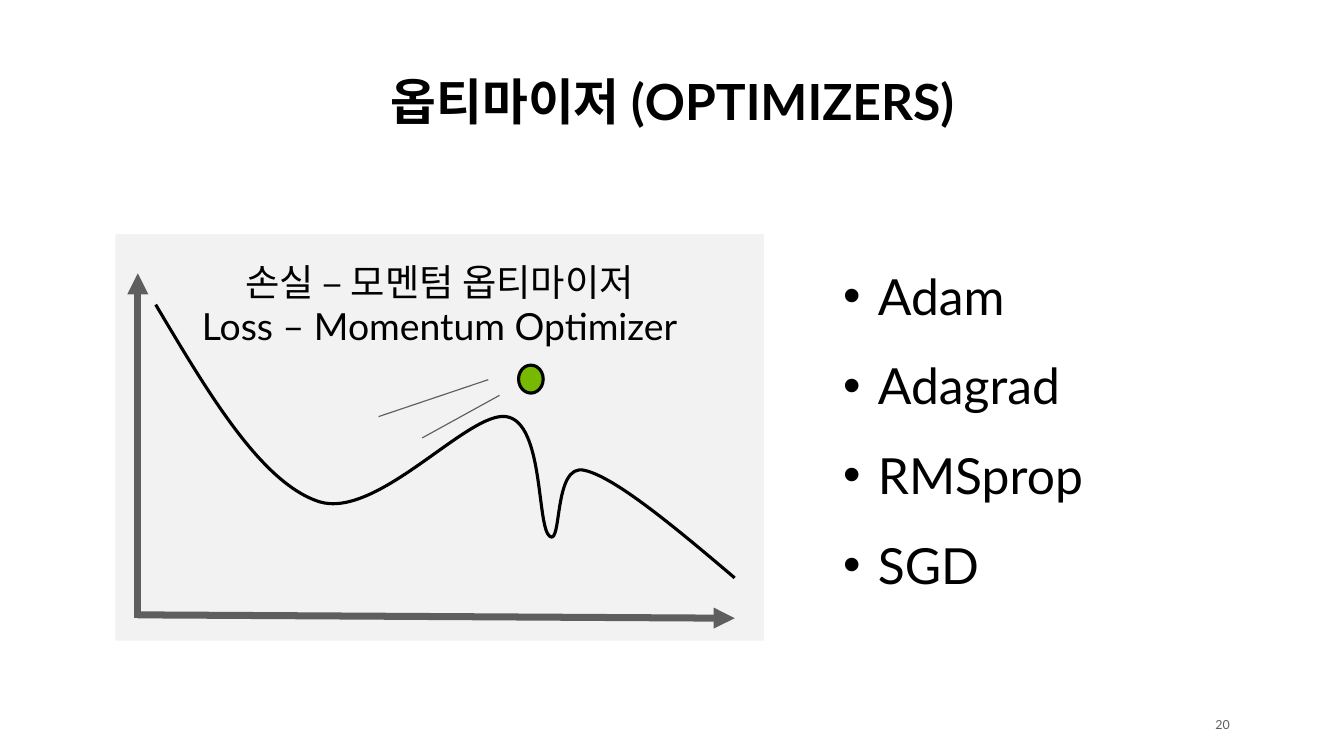
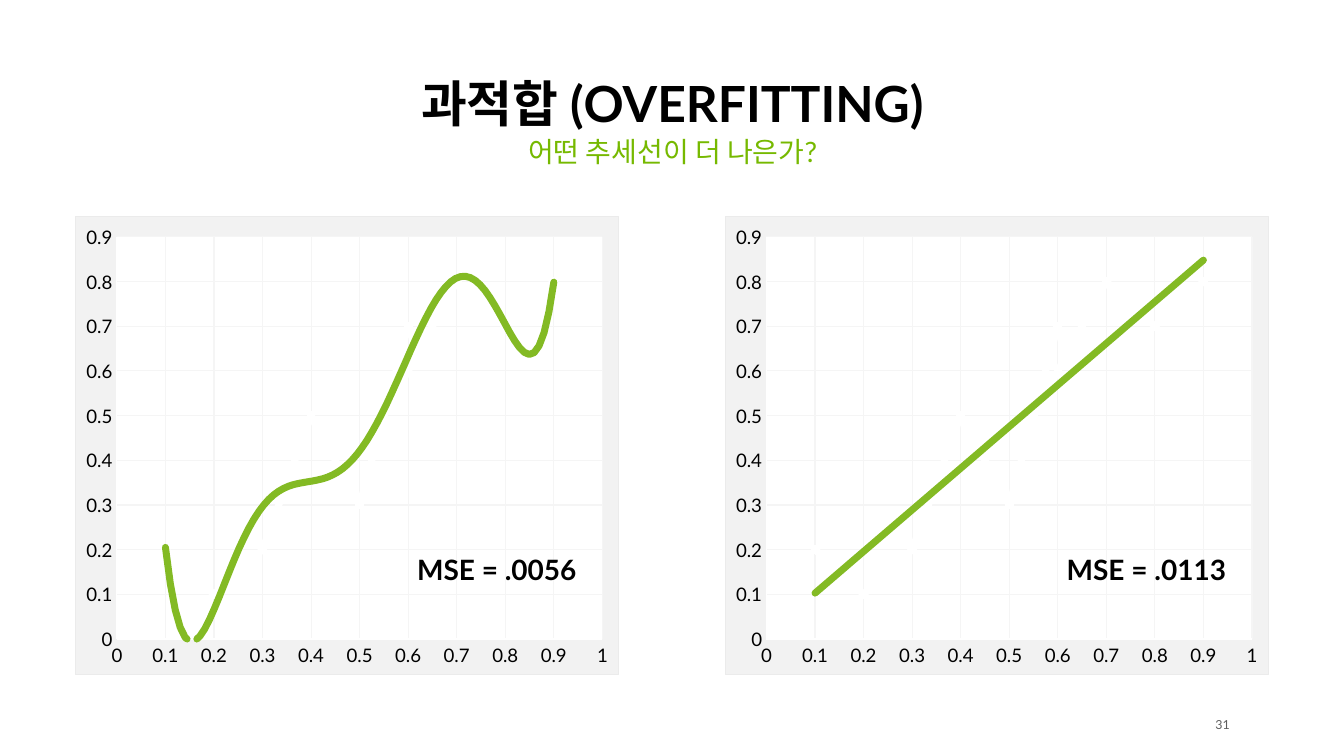
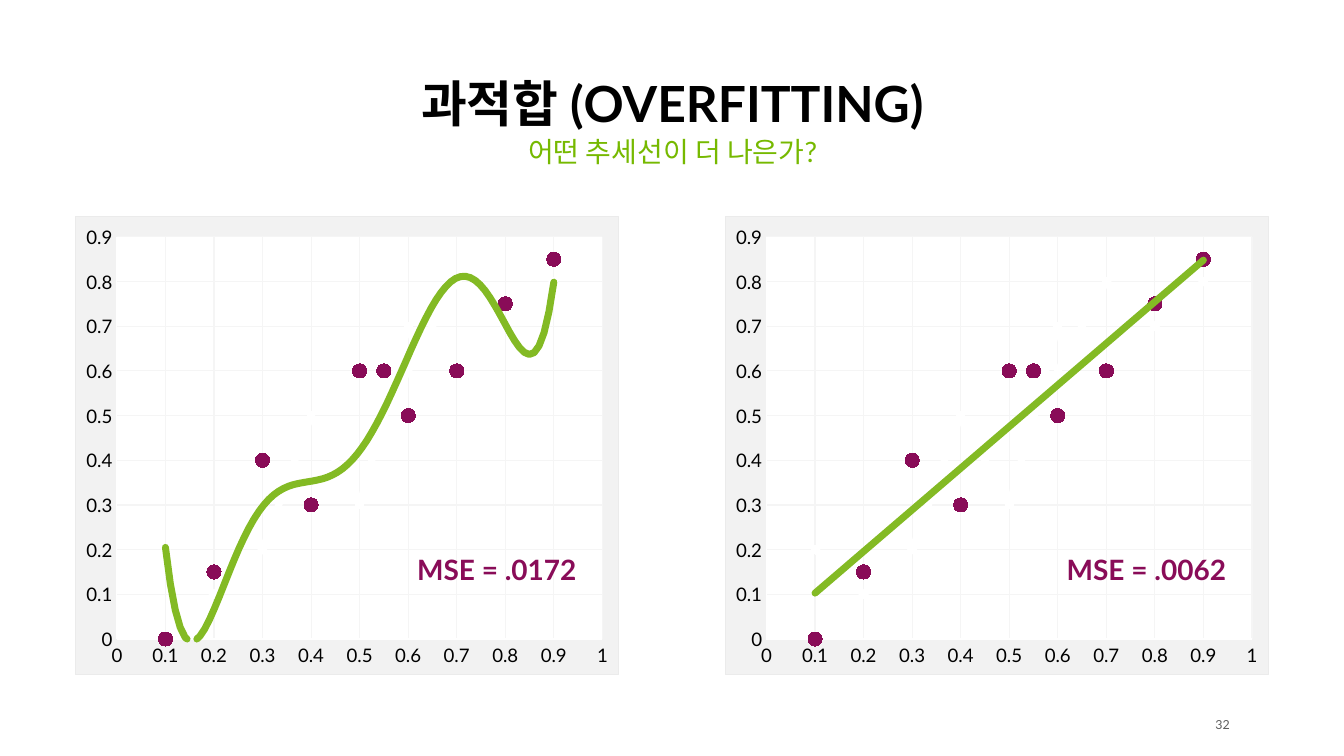
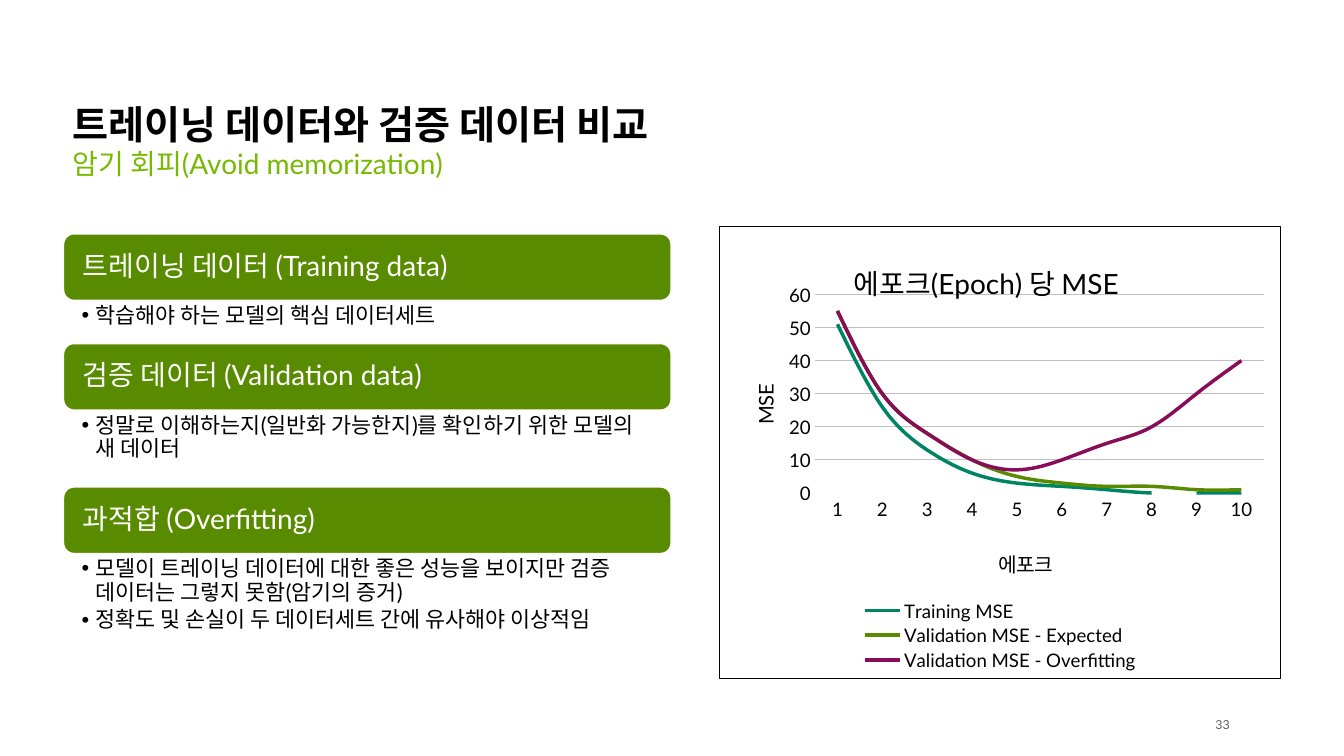
from dataclasses import dataclass

from lxml import etree
from pptx import Presentation
from pptx.chart.data import CategoryChartData, XyChartData
from pptx.dml.color import RGBColor
from pptx.enum.chart import XL_CHART_TYPE, XL_LEGEND_POSITION, XL_MARKER_STYLE, XL_TICK_MARK
from pptx.enum.shapes import MSO_CONNECTOR, MSO_SHAPE
from pptx.enum.text import MSO_ANCHOR, MSO_AUTO_SIZE, PP_ALIGN
from pptx.oxml import parse_xml
from pptx.oxml.ns import qn
from pptx.util import Inches, Pt

LEFT, CENTER, RIGHT = PP_ALIGN.LEFT, PP_ALIGN.CENTER, PP_ALIGN.RIGHT
TOP, MIDDLE, BOTTOM = MSO_ANCHOR.TOP, MSO_ANCHOR.MIDDLE, MSO_ANCHOR.BOTTOM
RECT, ROUND_RECT, OVAL = MSO_SHAPE.RECTANGLE, MSO_SHAPE.ROUNDED_RECTANGLE, MSO_SHAPE.OVAL
STRAIGHT = MSO_CONNECTOR.STRAIGHT
FIT_SHAPE = MSO_AUTO_SIZE.SHAPE_TO_FIT_TEXT
SCATTER, LINE = XL_CHART_TYPE.XY_SCATTER_LINES, XL_CHART_TYPE.LINE
CIRCLE, NO_MARKER = XL_MARKER_STYLE.CIRCLE, XL_MARKER_STYLE.NONE
NO_TICK, LEGEND_BOTTOM = XL_TICK_MARK.NONE, XL_LEGEND_POSITION.BOTTOM

BLACK = RGBColor(0x00, 0x00, 0x00)
WHITE = RGBColor(0xFF, 0xFF, 0xFF)
GRAY = RGBColor(0x5E, 0x5E, 0x5E)
PANEL = RGBColor(0xF2, 0xF2, 0xF2)
PANEL_EDGE = RGBColor(0xEB, 0xEB, 0xEB)
PALE_GRID = RGBColor(0xF5, 0xF5, 0xF5)
GRID = RGBColor(0xBF, 0xBF, 0xBF)
GREEN = RGBColor(0x76, 0xB9, 0x00)
DARK_GREEN = RGBColor(0x59, 0x8B, 0x00)
TREND_GREEN = RGBColor(0x83, 0xBA, 0x24)
TEAL = RGBColor(0x00, 0x85, 0x64)
PLUM = RGBColor(0x89, 0x0C, 0x58)

FONT = "Lato"
COLS, ROWS = 12, 6.75  # square grid cells, one inch each
C_NS = "http://schemas.openxmlformats.org/drawingml/2006/chart"
A_NS = "http://schemas.openxmlformats.org/drawingml/2006/main"

X_VALUES = (0.1, 0.2, 0.3, 0.4, 0.5, 0.6, 0.55, 0.7, 0.8, 0.9)
TRAINING = (0.2, 0.1, 0.2, 0.5, 0.3, 0.7, 0.5, 0.8, 0.7, 0.8)
VALIDATION = (0, 0.15, 0.4, 0.3, 0.6, 0.5, 0.6, 0.6, 0.75, 0.85)
POLY_TREND = '<c:trendlineType val="poly"/><c:order val="6"/>'
LINEAR_TREND = '<c:trendlineType val="linear"/>'
EPOCH_SERIES = (
    ("Training MSE", TEAL, (51, 26, 13, 6, 3, 2, 1, 0, 0, 0)),
    ("Validation MSE - Expected", DARK_GREEN, (55, 30, 18, 10, 5, 3, 2, 2, 1, 1)),
    ("Validation MSE - Overfitting", PLUM, (55, 30, 18, 10, 7, 10, 15, 20, 30, 40)),
)
DEFINITIONS = (  # heading, bullets, rows taken by the bullets
    ("트레이닝 데이터 (Training data)", ["학습해야 하는 모델의 핵심 데이터세트"], 0.37),
    ("검증 데이터 (Validation data)",
     ["정말로 이해하는지(일반화 가능한지)를 확인하기 위한 모델의 새 데이터"], 0.67),
    ("과적합 (Overfitting)",
     ["모델이 트레이닝 데이터에 대한 좋은 성능을 보이지만 검증 데이터는 그렇지 못함(암기의 증거)",
      "정확도 및 손실이 두 데이터세트 간에 유사해야 이상적임"], 1.04),
)


@dataclass
class Box:
    """A region in grid columns and rows."""
    x: float
    y: float
    w: float
    h: float

    def inner(self, dx, dy, w, h):
        return Box(self.x + dx, self.y + dy, w, h)

    def emu(self):
        return [Inches(v) for v in (self.x, self.y, self.w, self.h)]


# ---- text and shapes ----
def write(sp, lines, size, color=BLACK, bold=False, align=LEFT, anchor=TOP,
          spacing=None, gap=0, bullet=0, insets=(0.1, 0.05, 0.1, 0.05)):
    tf = sp.text_frame
    tf.word_wrap = True
    tf.vertical_anchor = anchor
    tf.margin_left, tf.margin_top, tf.margin_right, tf.margin_bottom = map(Inches, insets)
    tf.text = "\n".join(lines)
    for i, p in enumerate(tf.paragraphs):
        if bullet:
            pPr = p._p.get_or_add_pPr()
            pPr.set("marL", str(Inches(bullet)))
            pPr.set("indent", str(-Inches(bullet)))
            etree.SubElement(pPr, qn("a:buFont"), typeface="Arial")
            etree.SubElement(pPr, qn("a:buChar"), char="•")
        p.alignment = align
        if spacing:
            p.line_spacing = spacing
        if i and gap:
            p.space_before = Pt(gap)
        for r in p.runs:
            r.font.name, r.font.size, r.font.bold = FONT, Pt(size), bold
            r.font.color.rgb = color


def add_text(s, box, lines, size, **style):
    sp = s.shapes.add_textbox(*box.emu())
    write(sp, lines, size, **style)
    return sp


def add_shape(s, kind, box, fill, line=None):
    sp = s.shapes.add_shape(kind, *box.emu())
    sp.shadow.inherit = False
    sp.fill.solid()
    sp.fill.fore_color.rgb = fill
    if line is None:
        sp.line.fill.background()
    else:
        sp.line.color.rgb, sp.line.width = line, Pt(2)
    return sp


def add_line(s, box, start, end, width, arrow=False):
    ends = [Inches(v) for dx, dy in (start, end) for v in (box.x + dx, box.y + dy)]
    line = s.shapes.add_connector(STRAIGHT, *ends)
    line.line.color.rgb, line.line.width = GRAY, Pt(width)
    spPr = line._element.spPr
    if arrow:
        etree.SubElement(spPr.find(qn("a:ln")), qn("a:tailEnd"), type="triangle")
    etree.SubElement(spPr, qn("a:effectLst"))


def add_curve(s, box, points):
    """Draw a Bezier curve: a start, then two handles and an end per piece."""
    points = [(Inches(box.x + dx), Inches(box.y + dy)) for dx, dy in points]
    builder = s.shapes.build_freeform(*points[0])
    builder.add_line_segments(points[1:], close=False)
    sp = builder.convert_to_shape()
    sp.shadow.inherit = False
    sp.fill.background()
    sp.line.color.rgb, sp.line.width = BLACK, Pt(2)
    steps = list(sp._element.iter(qn("a:lnTo")))
    for i in range(0, len(steps), 3):
        bezier = etree.Element(qn("a:cubicBezTo"))
        steps[i].addprevious(bezier)
        for step in steps[i:i + 3]:
            bezier.append(step[0])
            step.getparent().remove(step)


# ---- slide frame ----
def add_slide(prs, number, title, title_box, size=32, align=CENTER, subtitle=None):
    s = prs.slides.add_slide(prs.slide_layouts[6])
    add_text(s, Box(10.68, 6.38, 0.35, 0.18), [str(number)], 8, color=GRAY,
             align=RIGHT, anchor=MIDDLE, insets=(0, 0, 0.05, 0))
    add_text(s, title_box, [title], size, bold=True, align=align,
             anchor=BOTTOM, spacing=0.9)
    if subtitle:
        below = title_box.inner(0, 0.6, title_box.w, 0.57)
        add_text(s, below, [subtitle], 18, color=GREEN, align=align, spacing=0.9)
    return s


# ---- chart parts ----
def sp_pr(fill, edge=None, width=0.75):
    def solid(color):
        return f'<a:solidFill><a:srgbClr val="{color}"/></a:solidFill>' if color else "<a:noFill/>"
    return parse_xml(f'<c:spPr xmlns:c="{C_NS}" xmlns:a="{A_NS}">{solid(fill)}'
                     f'<a:ln w="{Pt(width)}">{solid(edge)}</a:ln></c:spPr>')


def set_layout(el, x, y, w=None, h=None, inner=False):
    """Place a chart part by shares of the chart's size."""
    old = el.find(qn("c:layout"))
    if old is not None:
        el.remove(old)
    layout = etree.Element(qn("c:layout"))
    manual = etree.SubElement(layout, qn("c:manualLayout"))
    values = [("layoutTarget", "inner")] if inner else []
    values += [("xMode", "edge"), ("yMode", "edge"), ("x", x), ("y", y)]
    if w:
        values += [("w", w), ("h", h)]
    for tag, value in values:
        etree.SubElement(manual, qn("c:" + tag), val=str(value))
    overlay = el.find(qn("c:overlay"))
    if overlay is None:
        el.insert(0, layout)
    else:
        overlay.addprevious(layout)


def set_title(title, text, size, x, y, turned=False):
    tf = title.text_frame
    tf.text = text
    font = tf.paragraphs[0].runs[0].font
    font.name, font.size, font.bold = FONT, Pt(size), False
    font.color.rgb = BLACK
    if turned:
        next(title.element.iter(qn("a:bodyPr"))).set("rot", "-5400000")
    set_layout(title.element, x, y)


def style_axis(axis, line, grid=None, top=None, step=None):
    axis.major_tick_mark = axis.minor_tick_mark = NO_TICK
    font = axis.tick_labels.font
    font.name, font.size = FONT, Pt(12)
    font.color.rgb = BLACK
    if line is None:
        axis.format.line.fill.background()
    else:
        axis.format.line.color.rgb, axis.format.line.width = line, Pt(0.75)
    axis.has_major_gridlines = grid is not None
    if grid is not None:
        grid_line = axis.major_gridlines.format.line
        grid_line.color.rgb, grid_line.width = grid, Pt(0.75)
    if top:
        axis.minimum_scale, axis.maximum_scale, axis.major_unit = 0, top, step


def add_chart(s, kind, box, data, fill, edge):
    chart = s.shapes.add_chart(kind, *box.emu(), data).chart
    chart.font.name, chart.font.size = FONT, Pt(10)
    chart.font.color.rgb = BLACK
    chart.has_legend = chart.has_title = False
    chart.plots[0].vary_by_categories = False
    chart.element.find(qn("c:chart")).addnext(sp_pr(fill, edge))
    return chart


def style_points(series, color, size):
    series.smooth = False
    series.marker.style, series.marker.size = CIRCLE, size
    series.marker.format.fill.solid()
    series.marker.format.fill.fore_color.rgb = color
    series.marker.format.line.color.rgb = color


def add_trend(series, kind):
    trend = parse_xml(f'<c:trendline xmlns:c="{C_NS}">{kind}'
                      '<c:dispRSqr val="0"/><c:dispEq val="0"/></c:trendline>')
    look = sp_pr(None, TREND_GREEN, 4.5)
    look.find(qn("a:ln")).set("cap", "rnd")
    trend.insert(0, look)
    series._element.find(qn("c:xVal")).addprevious(trend)


def add_trend_panel(s, box, trend, validated):
    data = XyChartData()
    for i, values in enumerate([TRAINING, VALIDATION] if validated else [TRAINING], 1):
        points = data.add_series(f"Series {i}")
        for x, y in zip(X_VALUES, values):
            points.add_data_point(x, y)
    chart = add_chart(s, SCATTER, box, data, PANEL, PANEL_EDGE)
    style_axis(chart.category_axis, WHITE, PALE_GRID, 1, 0.1)
    style_axis(chart.value_axis, WHITE, PALE_GRID, 0.9, 0.1)
    chart.element.find(".//" + qn("c:plotArea")).append(sp_pr(WHITE))
    training, *validation = chart.plots[0].series
    style_points(training, TEAL, 5)
    training.format.line.color.rgb, training.format.line.width = WHITE, Pt(4.5)
    add_trend(training, trend)
    for series in validation:
        style_points(series, PLUM, 9)
        series.format.line.fill.background()


# ---- slide 1: loss sketch and list ----
def add_loss_sketch(s, box):
    panel = add_shape(s, RECT, box, PANEL)
    write(panel, ["손실 – 모멘텀 옵티마이저", "Loss – Momentum Optimizer"], 24,
          align=CENTER, insets=(0.1, 0.22, 0.1, 0.05))
    add_curve(s, box, [
        (0.36, 0.63), (0.83, 1.42), (1.3, 2.22), (1.82, 2.39),
        (2.34, 2.55), (3.15, 1.58), (3.49, 1.63),
        (3.83, 1.68), (3.76, 2.62), (3.88, 2.7),
        (3.99, 2.78), (3.91, 2.04), (4.19, 2.11),
        (4.46, 2.17), (5, 2.62), (5.53, 3.07)])
    # Axes
    add_line(s, box, (0.2, 3.43), (0.2, 0.35), 4.5, arrow=True)
    add_line(s, box, (0.2, 3.4), (5.53, 3.43), 4.5, arrow=True)
    # Ball and its motion marks
    add_shape(s, OVAL, box.inner(3.6, 1.17, 0.22, 0.25), GREEN, BLACK)
    add_line(s, box, (3.43, 1.44), (2.74, 1.82), 0.75)
    add_line(s, box, (3.33, 1.3), (2.35, 1.63), 0.75)


def build_optimizers(prs):
    s = add_slide(prs, 20, "옵티마이저 (OPTIMIZERS)", Box(0.55, 0.57, 10.91, 0.65))
    add_loss_sketch(s, Box(1.03, 2.09, 5.79, 3.63))
    names = add_text(s, Box(7.43, 2.09, 3.35, 3.23), ["Adam", "Adagrad", "RMSprop", "SGD"],
                     32, anchor=MIDDLE, spacing=1.5, bullet=0.31)
    names.text_frame.auto_size = FIT_SHAPE


# ---- slides 2 and 3: two trend lines ----
def build_overfitting(prs, number, errors, color, validated):
    s = add_slide(prs, number, "과적합 (OVERFITTING)", Box(0.55, 0.59, 10.91, 0.65),
                  subtitle="어떤 추세선이 더 나은가?")
    for i, (trend, error) in enumerate(zip((POLY_TREND, LINEAR_TREND), errors)):
        box = Box(0.67 + 5.8 * i, 1.93, 4.86, 4.1)
        add_trend_panel(s, box, trend, validated)
        label = add_text(s, box.inner(2.94, 2.99, 1.65, 0.37), [f"MSE = {error}"], 18,
                         color=color, bold=True, align=CENTER, anchor=MIDDLE, spacing=0.9)
        label.text_frame.auto_size = FIT_SHAPE


# ---- slide 4: definitions and error per epoch ----
def add_definitions(s, box):
    head, y = 0.61, 0
    for heading, bullets, rows in DEFINITIONS:
        bar = add_shape(s, ROUND_RECT, box.inner(0, y, box.w, head), DARK_GREEN, WHITE)
        write(bar, [heading], 18, color=WHITE, anchor=MIDDLE, spacing=0.9,
              insets=(0.15, 0.07, 0.1, 0.07))
        add_text(s, box.inner(0, y + head, box.w, rows), bullets, 14, spacing=0.9,
                 gap=2.8, bullet=0.12, insets=(0.17, 0.03, 0.14, 0.03))
        y += head + rows


def add_epoch_chart(s, box):
    data = CategoryChartData()
    data.categories = [str(epoch) for epoch in range(1, 11)]
    for name, _, values in EPOCH_SERIES:
        data.add_series(name, values)
    chart = add_chart(s, LINE, box, data, None, BLACK)
    for series, (_, color, _) in zip(chart.plots[0].series, EPOCH_SERIES):
        series.smooth = True
        series.marker.style = NO_MARKER
        series.format.line.color.rgb, series.format.line.width = color, Pt(2.25)
    style_axis(chart.category_axis, WHITE)
    style_axis(chart.value_axis, None, GRID, 60, 10)
    # Titles
    set_title(chart.chart_title, "에포크(Epoch) 당 MSE", 18, 0.23, 0.06)
    set_title(chart.category_axis.axis_title, "에포크", 13, 0.49, 0.7)
    set_title(chart.value_axis.axis_title, "MSE", 13, 0.05, 0.34, turned=True)
    # Legend and plot area
    chart.has_legend = True
    legend = chart.legend
    legend.position, legend.include_in_layout = LEGEND_BOTTOM, False
    legend.font.name, legend.font.size = FONT, Pt(12)
    legend.font.color.rgb = BLACK
    set_layout(legend._element, 0.25, 0.82, 0.5, 0.17)
    set_layout(chart.element.find(".//" + qn("c:plotArea")), 0.17, 0.15, 0.8, 0.44, inner=True)


def build_comparison(prs):
    s = add_slide(prs, 33, "트레이닝 데이터와 검증 데이터 비교", Box(0.55, 0.69, 6.48, 0.68),
                  size=25.2, align=LEFT, subtitle="암기 회피(Avoid memorization)")
    add_definitions(s, Box(0.56, 2.08, 5.44, 3.91))
    add_epoch_chart(s, Box(6.42, 2.02, 5.02, 4.04))


def main():
    prs = Presentation()
    prs.slide_width, prs.slide_height = Inches(COLS), Inches(ROWS)
    build_optimizers(prs)
    build_overfitting(prs, 31, (".0056", ".0113"), BLACK, validated=False)
    build_overfitting(prs, 32, (".0172", ".0062"), PLUM, validated=True)
    build_comparison(prs)
    prs.save("out.pptx")


if __name__ == "__main__":
    main()
